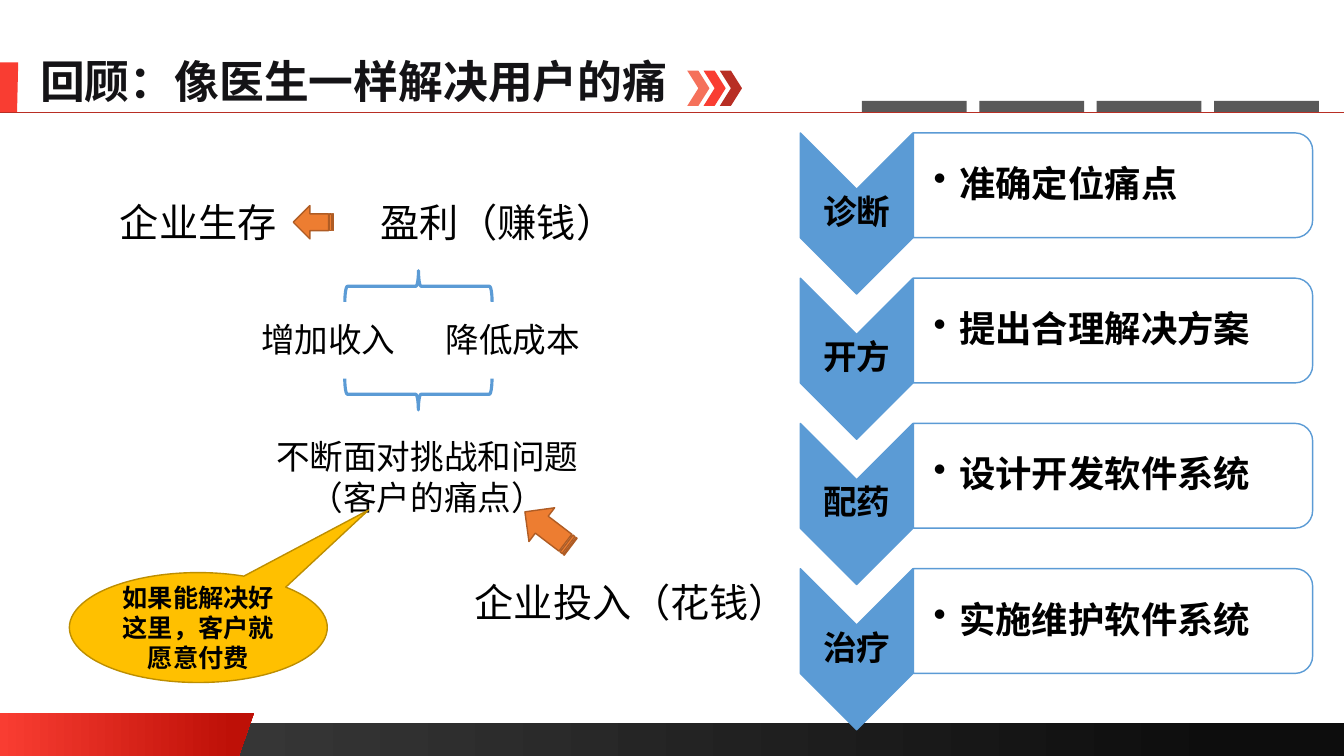
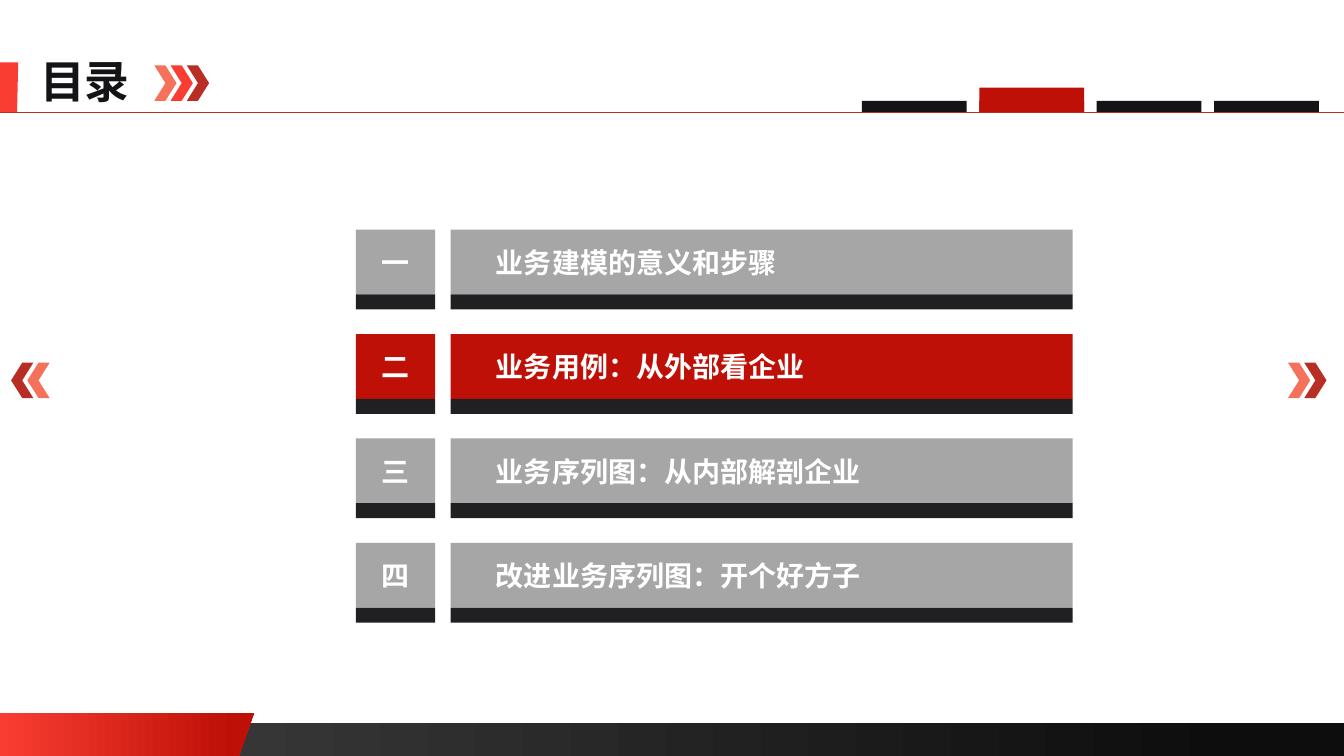
"""Build a two-slide deck: a pain-point review and a table of contents."""
from lxml.etree import SubElement
from pptx import Presentation
from pptx.dml.color import RGBColor
from pptx.enum.shapes import MSO_CONNECTOR, MSO_SHAPE
from pptx.enum.text import MSO_ANCHOR, PP_ALIGN
from pptx.oxml.ns import qn
from pptx.util import Cm, Pt

FONT = "Noto Sans CJK SC"
WIDTH, HEIGHT = 33.87, 19.05
WHITE, BLACK, INK, BAND = "FFFFFF", "000000", "141316", "202022"
CORAL, RED, BRICK, DEEP = "F5715B", "F93D32", "B82E24", "BE1007"
GREY, SLATE, BLUE = "A6A6A6", "595959", "5B9BD5"
ORANGE, RUST, GOLD, OCHRE = "ED7D31", "AF5C24", "FFC000", "BD8E00"

REVIEW_TITLE = "回顾：像医生一样解决用户的痛"
LABELS = [
    (["企业生存"], 2.74, 4.88, 28),
    (["盈利（赚钱）"], 9.3, 4.88, 28),
    (["增加收入"], 6.3, 7.92, 24),
    (["降低成本"], 10.95, 7.92, 24),
    (["不断面对挑战和问题", "（客户的痛点）"], 6.68, 10.87, 24),
    (["企业投入（花钱）"], 11.68, 14.45, 28),
]
ARROWS = [(7.39, 5.18, 1.02, 0.84, 180), (13.08, 12.8, 1.45, 1.07, 217.3)]
BRACES = [(6.82, 90), (9.54, 270)]
CALLOUT = "如果能解决好这里，客户就愿意付费"
STEPS = [
    ("诊断", "准确定位痛点"),
    ("开方", "提出合理解决方案"),
    ("配药", "设计开发软件系统"),
    ("治疗", "实施维护软件系统"),
]
CONTENTS_TITLE = "目录"
CHAPTERS = [
    ("一", "业务建模的意义和步骤"),
    ("二", "业务用例：从外部看企业"),
    ("三", "业务序列图：从内部解剖企业"),
    ("四", "改进业务序列图：开个好方子"),
]
ACTIVE = 1
TAB_X, TAB_STEP, TAB_W = 21.72, 2.96, 2.64


def rgb(color):
    return RGBColor.from_string(color)


def paint(sp, fill=None, line=None, weight=1):
    sp.shadow.inherit = False
    if isinstance(fill, tuple):
        sp.fill.gradient()
        sp.fill.gradient_angle = 0
        for stop, color, position in zip(sp.fill.gradient_stops, fill, (0, 0.92)):
            stop.color.rgb = rgb(color)
            stop.position = position
    elif fill:
        sp.fill.solid()
        sp.fill.fore_color.rgb = rgb(fill)
    else:
        sp.fill.background()
    if line:
        sp.line.color.rgb = rgb(line)
        sp.line.width = Pt(weight)
    else:
        sp.line.fill.background()
    return sp


def shape(s, kind, x, y, w, h, fill=None, line=None, weight=1, rot=0):
    if rot in (90, 270):
        x, y, w, h = x + (w - h) / 2, y + (h - w) / 2, h, w
    sp = s.shapes.add_shape(kind, Cm(x), Cm(y), Cm(w), Cm(h))
    sp.rotation = rot
    return paint(sp, fill, line, weight)


def outline(s, points, fill):
    (x, y), *rest = [(Cm(px), Cm(py)) for px, py in points]
    builder = s.shapes.build_freeform(x, y)
    builder.add_line_segments(rest)
    return paint(builder.convert_to_shape(), fill)


def write(sp, lines, size, color=BLACK, bold=True, align=PP_ALIGN.CENTER,
          anchor=MSO_ANCHOR.MIDDLE, wrap=True, inset=None, spacing=None, bullet=False):
    tf = sp.text_frame
    tf.word_wrap = wrap
    tf.vertical_anchor = anchor
    if inset is not None:
        tf.margin_left = Cm(inset)
        tf.margin_right = tf.margin_top = tf.margin_bottom = Cm(0.05)
    for i, text in enumerate(lines):
        p = tf.add_paragraph() if i else tf.paragraphs[0]
        p.alignment = align
        if bullet:
            pPr = p._p.get_or_add_pPr()
            pPr.set("marL", str(Cm(0.64)))
            pPr.set("indent", str(-Cm(0.64)))
            SubElement(pPr, qn("a:buChar")).set("char", "•")
        if spacing:
            p.line_spacing = spacing
        r = p.add_run()
        r.text = text
        r.font.size, r.font.bold = Pt(size), bold
        r.font.color.rgb = rgb(color)
        r.font.name = FONT
        SubElement(r._r.get_or_add_rPr(), qn("a:ea")).set("typeface", FONT)


def textbox(s, x, y, w, h, lines, size, **fmt):
    write(s.shapes.add_textbox(Cm(x), Cm(y), Cm(w), Cm(h)), lines, size, **fmt)


def label(s, lines, x, y, size, **fmt):
    em = Pt(size).cm
    w = max(map(len, lines)) * em + 0.56
    h = len(lines) * em * 1.2 + 0.25
    textbox(s, x, y, w, h, lines, size, anchor=MSO_ANCHOR.TOP, wrap=False, **fmt)


def chevrons(s, x, y, colors, step=0.41, rot=0):
    for i, color in enumerate(colors):
        shape(s, MSO_SHAPE.CHEVRON, x + i * step, y, 0.56, 0.89, color, rot=rot)


def frame(prs, title, mark_x, mark_y, tab_color):
    s = prs.slides.add_slide(prs.slide_layouts[6])
    shape(s, MSO_SHAPE.RECTANGLE, 0, 18.21, WIDTH, 0.84, ("404040", "0D0D0D"))
    outline(s, [(0, 17.96), (6.4, 17.96), (6.02, HEIGHT), (0, HEIGHT)], (RED, DEEP))
    outline(s, [(0, 1.57), (0.46, 1.57), (0.43, 2.84), (0, 2.84)], RED)
    label(s, [title], 0.76, 1.24, 32, color=INK, align=PP_ALIGN.LEFT)
    rule = s.shapes.add_connector(MSO_CONNECTOR.STRAIGHT, 0, Cm(2.82), Cm(WIDTH), Cm(2.82))
    rule.line.color.rgb = rgb(BRICK)
    rule.line.width = Pt(0.5)
    SubElement(rule._element.spPr, qn("a:effectLst"))
    chevrons(s, mark_x, mark_y, (CORAL, RED, BRICK))
    for i in range(4):
        shape(s, MSO_SHAPE.RECTANGLE, TAB_X + i * TAB_STEP, 2.54, TAB_W, 0.28, tab_color)
    return s


def review_slide(prs):
    s = frame(prs, REVIEW_TITLE, 17.32, 1.78, SLATE)
    for lines, x, y, size in LABELS:
        label(s, lines, x, y, size, bold=False)
    for x, y, w, h, rot in ARROWS:
        shape(s, MSO_SHAPE.STRIPED_RIGHT_ARROW, x, y, w, h, ORANGE, RUST, rot=rot)
    for y, rot in BRACES:
        shape(s, MSO_SHAPE.LEFT_BRACE, 8.69, y, 3.71, 0.79, line=BLUE, weight=2.25, rot=rot)
    callout = shape(s, MSO_SHAPE.OVAL_CALLOUT, 1.75, 14.43, 6.5, 2.77, GOLD, OCHRE)
    callout.adjustments[0], callout.adjustments[1] = 0.66, -1.07
    write(callout, [CALLOUT], 18)
    for i, (step, task) in enumerate(STEPS):
        y = 3.35 + i * 3.66
        shape(s, MSO_SHAPE.CHEVRON, 20.17, y, 2.84, 4.06, BLUE, BLUE, rot=90)
        textbox(s, 20.17, y + 1.42, 2.84, 1.22, [step], 24, inset=0.05, spacing=0.9)
        shape(s, MSO_SHAPE.ROUND_2_SAME_RECTANGLE, 23.02, y, 10.06, 2.64, WHITE, BLUE, rot=90)
        textbox(s, 23.02, y + 0.13, 9.93, 2.39, [task], 26, align=PP_ALIGN.LEFT,
                inset=0.51, spacing=0.9, bullet=True)


def contents_slide(prs):
    s = frame(prs, CONTENTS_TITLE, 3.89, 1.65, INK)
    chevrons(s, 32.46, 9.14, (CORAL, BRICK))
    chevrons(s, 0.28, 9.14, (BRICK, CORAL), rot=180)
    shape(s, MSO_SHAPE.RECTANGLE, TAB_X + ACTIVE * TAB_STEP, 2.21, TAB_W, 0.61, DEEP)
    for i, (number, chapter) in enumerate(CHAPTERS):
        y = 5.79 + i * 2.63
        fill = DEEP if i == ACTIVE else GREY
        cells = [(number, 8.97, 2, PP_ALIGN.CENTER, 0.05),
                 (chapter, 11.36, 15.67, PP_ALIGN.LEFT, 1.14)]
        for text, x, w, align, inset in cells:
            cell = shape(s, MSO_SHAPE.RECTANGLE, x, y, w, 1.63, fill)
            write(cell, [text], 20, color=WHITE, align=align, inset=inset)
            shape(s, MSO_SHAPE.RECTANGLE, x, y + 1.63, w, 0.38, BAND)


def main():
    prs = Presentation()
    prs.slide_width, prs.slide_height = Cm(WIDTH), Cm(HEIGHT)
    review_slide(prs)
    contents_slide(prs)
    prs.save("out.pptx")


if __name__ == "__main__":
    main()
